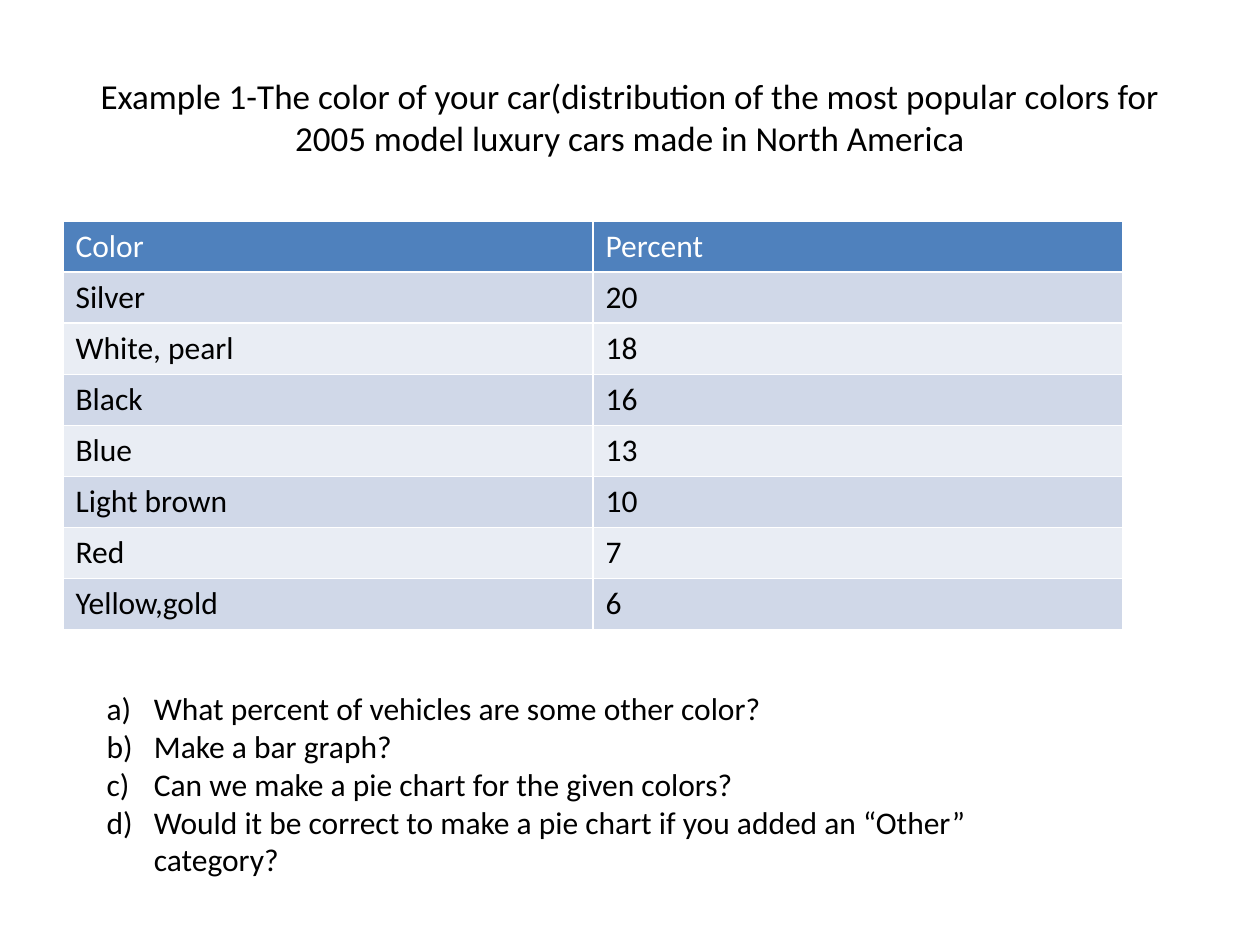
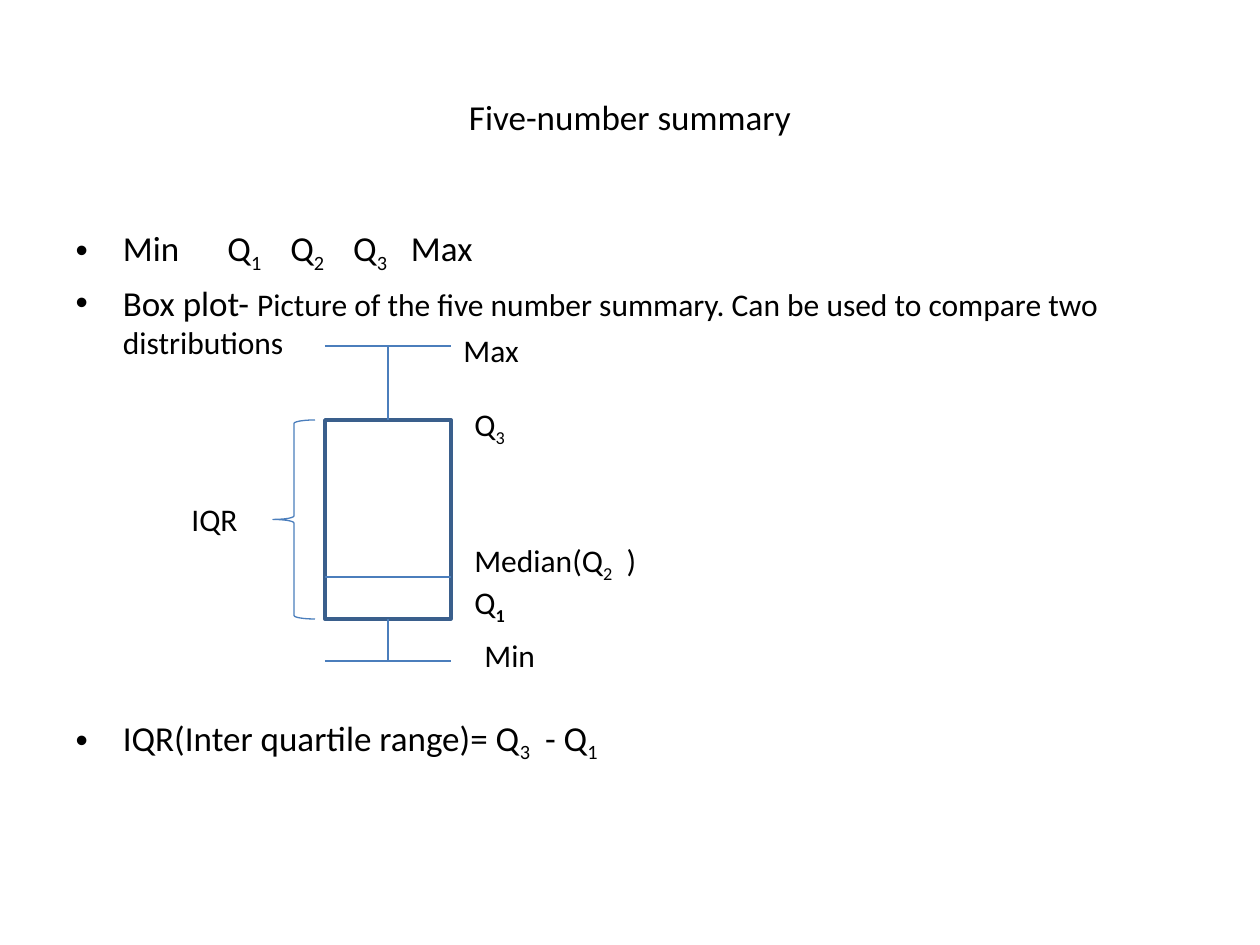
from dataclasses import dataclass

import pptx
import pptx.dml.color
import pptx.enum.shapes
import pptx.enum.text
import pptx.oxml.ns
import pptx.util
from lxml import etree

SCALE = 914400 / 126
SLIDE_WIDTH, SLIDE_HEIGHT = 1260, 945
FONT = "Calibri"
TITLE_SIZE, TEXT_SIZE = 20, 18
COLORS = {
    "text": "000000",
    "header text": "FFFFFF",
    "header": "4F81BD",
    "odd row": "D0D8E8",
    "even row": "E9EDF4",
    "box": "3A5F8C",
    "line": "4B7EBC",
}
SHAPES = pptx.enum.shapes.MSO_SHAPE


@dataclass(frozen=True)
class Run:
    text: str
    subscript: bool = False
    size: int | None = None
    bold: bool | None = None
    spacing: int = 0  # extra width after each character, in points


@dataclass(frozen=True)
class Area:
    left: int
    top: int
    width: int
    height: int

    def emu(self) -> list[int]:
        return [px(n) for n in (self.left, self.top, self.width, self.height)]


@dataclass(frozen=True)
class Label:
    area: Area
    runs: list[Run]


@dataclass(frozen=True)
class Line:
    x1: int
    y1: int
    x2: int
    y2: int


def px(length: int) -> int:
    return round(length * SCALE)


def color(name: str) -> pptx.dml.color.RGBColor:
    return pptx.dml.color.RGBColor.from_string(COLORS[name])


def style_font(font, size: int, color_name: str = "text") -> None:
    font.name = FONT
    font.size = pptx.util.Pt(size)
    font.color.rgb = color(color_name)


def sub(text: str, bold: bool | None = None) -> Run:
    return Run(text, subscript=True, bold=bold)


def gap(points: int) -> Run:
    """A single space widened by the given number of points."""
    return Run(" ", spacing=points)


def write_runs(paragraph, runs: list[Run], size: int) -> None:
    style_font(paragraph.font, size)
    for item in runs:
        run = paragraph.add_run()
        run.text = item.text
        if item.bold is not None:
            run.font.bold = item.bold
        if item.size:
            run.font.size = pptx.util.Pt(item.size)
        properties = run._r.get_or_add_rPr()
        if item.subscript:
            properties.set("baseline", "-25000")
        if item.spacing:
            properties.set("spc", str(item.spacing * 100))


def move(shape, area: Area) -> None:
    shape.left, shape.top, shape.width, shape.height = area.emu()


def add_slide(deck, title: str, body_area: Area):
    """Add a titled slide and return it with the text frame of its body."""
    slide = deck.slides.add_slide(deck.slide_layouts[1])
    heading = slide.shapes.title
    move(heading, Area(63, 38, 1134, 157))
    heading.text_frame.auto_size = pptx.enum.text.MSO_AUTO_SIZE.NONE
    write_runs(heading.text_frame.paragraphs[0], [Run(title)], TITLE_SIZE)
    body = slide.placeholders[1]
    move(body, body_area)
    body.text_frame.auto_size = pptx.enum.text.MSO_AUTO_SIZE.NONE
    return slide, body.text_frame


def write_list(frame, items: list[list[Run]], size: int,
               lettered: bool = False) -> None:
    for index, runs in enumerate(items):
        paragraph = frame.add_paragraph() if index else frame.paragraphs[0]
        if lettered:
            paragraph.space_before = pptx.util.Pt(0)
            etree.SubElement(paragraph._p.get_or_add_pPr(),
                             pptx.oxml.ns.qn("a:buAutoNum"),
                             type="alphaLcParenR")
        write_runs(paragraph, runs, size)


def add_percent_table(slide, rows: list[tuple[str, str]]) -> None:
    row_height = 51
    area = Area(63, 221, 1060, row_height * len(rows))
    table = slide.shapes.add_table(len(rows), 2, *area.emu()).table
    for r, row in enumerate(rows):
        fill = "header" if r == 0 else "odd row" if r % 2 else "even row"
        for c, text in enumerate(row):
            cell = table.cell(r, c)
            cell.fill.solid()
            cell.fill.fore_color.rgb = color(fill)
            cell.text = text
            font = cell.text_frame.paragraphs[0].runs[0].font
            style_font(font, TEXT_SIZE, "text" if r else "header text")
            font.bold = False


def add_outline(slide, preset, area: Area, color_name: str, width: float) -> None:
    shape = slide.shapes.add_shape(preset, *area.emu())
    shape.shadow.inherit = False
    shape.fill.background()
    shape.line.color.rgb = color(color_name)
    shape.line.width = pptx.util.Pt(width)


def add_line(slide, line: Line) -> None:
    connector = slide.shapes.add_connector(
        pptx.enum.shapes.MSO_CONNECTOR.STRAIGHT,
        px(line.x1), px(line.y1), px(line.x2), px(line.y2))
    connector.line.color.rgb = color("line")
    connector.line.width = pptx.util.Pt(0.75)
    etree.SubElement(connector._element.spPr, pptx.oxml.ns.qn("a:effectLst"))


def add_label(slide, label: Label) -> None:
    frame = slide.shapes.add_textbox(*label.area.emu()).text_frame
    frame.word_wrap = False
    write_runs(frame.paragraphs[0], label.runs, TEXT_SIZE)


def add_box_plot(slide) -> None:
    left, width = 325, 126
    right, middle = left + width, left + width // 2
    maximum, q3, median, q1, minimum = 346, 420, 577, 619, 661
    add_outline(slide, SHAPES.RECTANGLE,
                Area(left, q3, width, q1 - q3), "box", 2)
    for y in (median, maximum, minimum):
        add_line(slide, Line(left, y, right, y))
    for top, bottom in ((maximum, q3), (q1, minimum)):
        add_line(slide, Line(middle, top, middle, bottom))
    add_outline(slide, SHAPES.LEFT_BRACE,
                Area(273, q3, 42, q1 - q3), "line", 0.75)
    labels = [
        Label(Area(472, 630, 77, 50), [Run("Min")]),
        Label(Area(462, 577, 58, 50), [Run("Q"), sub("1", bold=True)]),
        Label(Area(462, 535, 192, 50),
              [Run("Median(Q"), sub("2"), gap(4), Run(")")]),
        Label(Area(462, 399, 63, 50), [Run("Q"), sub("3")]),
        Label(Area(451, 325, 81, 50), [Run("Max")]),
        Label(Area(179, 494, 72, 50), [Run("IQR")]),
    ]
    for label in labels:
        add_label(slide, label)


def build_car_colors(deck) -> None:
    slide, questions = add_slide(
        deck,
        "Example 1-The color of your car(distribution of the most popular "
        "colors for 2005 model luxury cars made in North America",
        Area(94, 683, 977, 204))
    add_percent_table(slide, [
        ("Color", "Percent"),
        ("Silver", "20"),
        ("White, pearl", "18"),
        ("Black", "16"),
        ("Blue", "13"),
        ("Light brown", "10"),
        ("Red", "7"),
        ("Yellow,gold", "6"),
    ])
    write_list(questions, [
        [Run("What percent of vehicles are some other color?")],
        [Run("Make a bar graph?")],
        [Run("Can we make a pie chart for the given colors?")],
        [Run("Would it be correct to make a pie chart if you added an "
             "“Other” category?")],
    ], TEXT_SIZE, lettered=True)


def build_five_numbers(deck) -> None:
    slide, summary = add_slide(deck, "Five-number summary",
                               Area(63, 220, 1134, 624))
    write_list(summary, [
        [Run("Min"), gap(23), Run("Q"), sub("1"), gap(12), Run("Q"), sub("2"),
         gap(12), Run("Q"), sub("3"), gap(9), Run("Max")],
        [Run("Box plot- "),
         Run("Picture of the five number summary. Can be used to compare "
             "two distributions", size=TEXT_SIZE)],
        [Run("IQR(Inter quartile range)= Q"), sub("3"), gap(4), Run("- Q"),
         sub("1")],
    ], TITLE_SIZE)
    # Room for the box plot above the last item
    summary.paragraphs[-1].space_before = pptx.util.Pt(203)
    add_box_plot(slide)


def main() -> None:
    deck = pptx.Presentation()
    deck.slide_width, deck.slide_height = px(SLIDE_WIDTH), px(SLIDE_HEIGHT)
    build_car_colors(deck)
    build_five_numbers(deck)
    deck.save("out.pptx")


if __name__ == "__main__":
    main()
